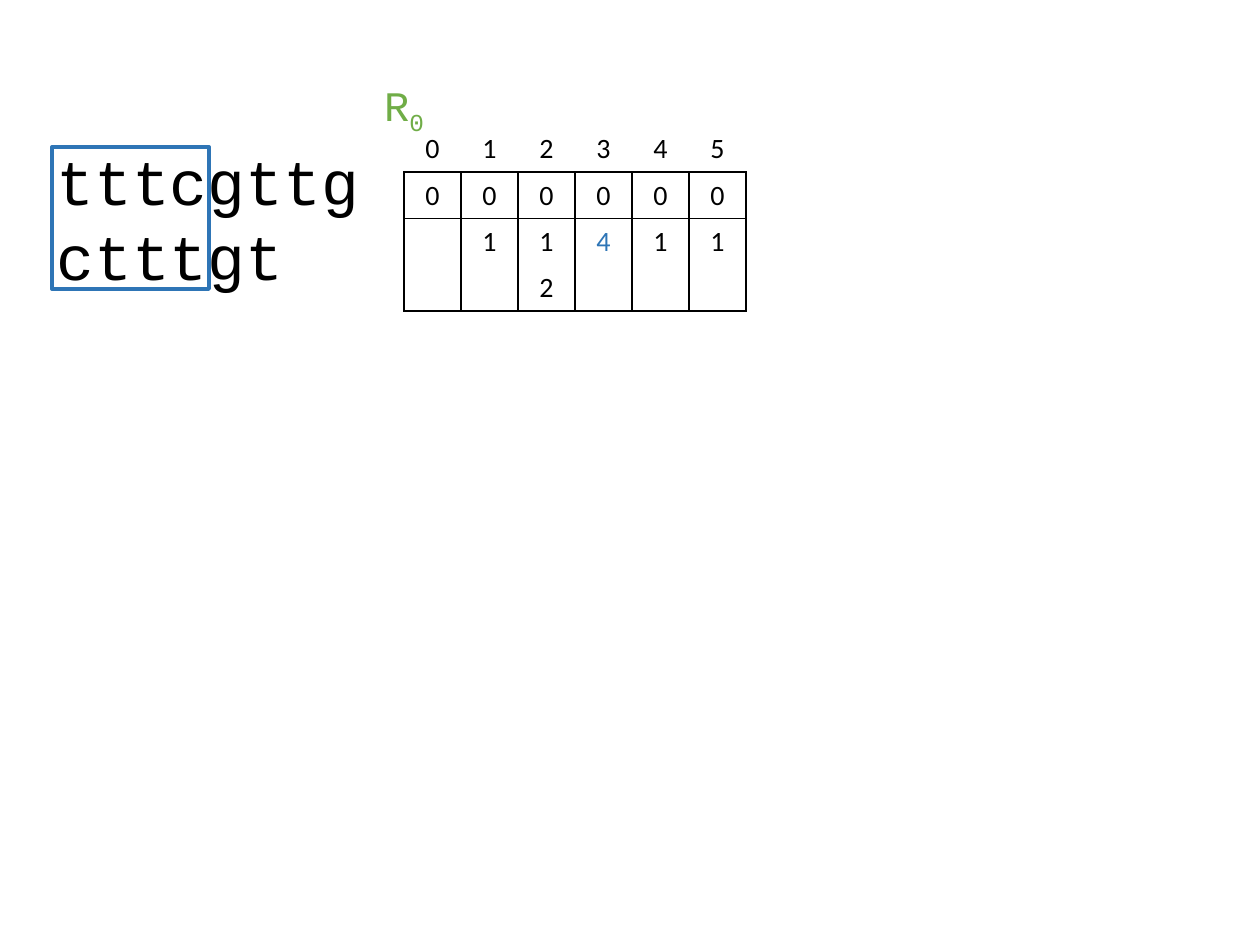
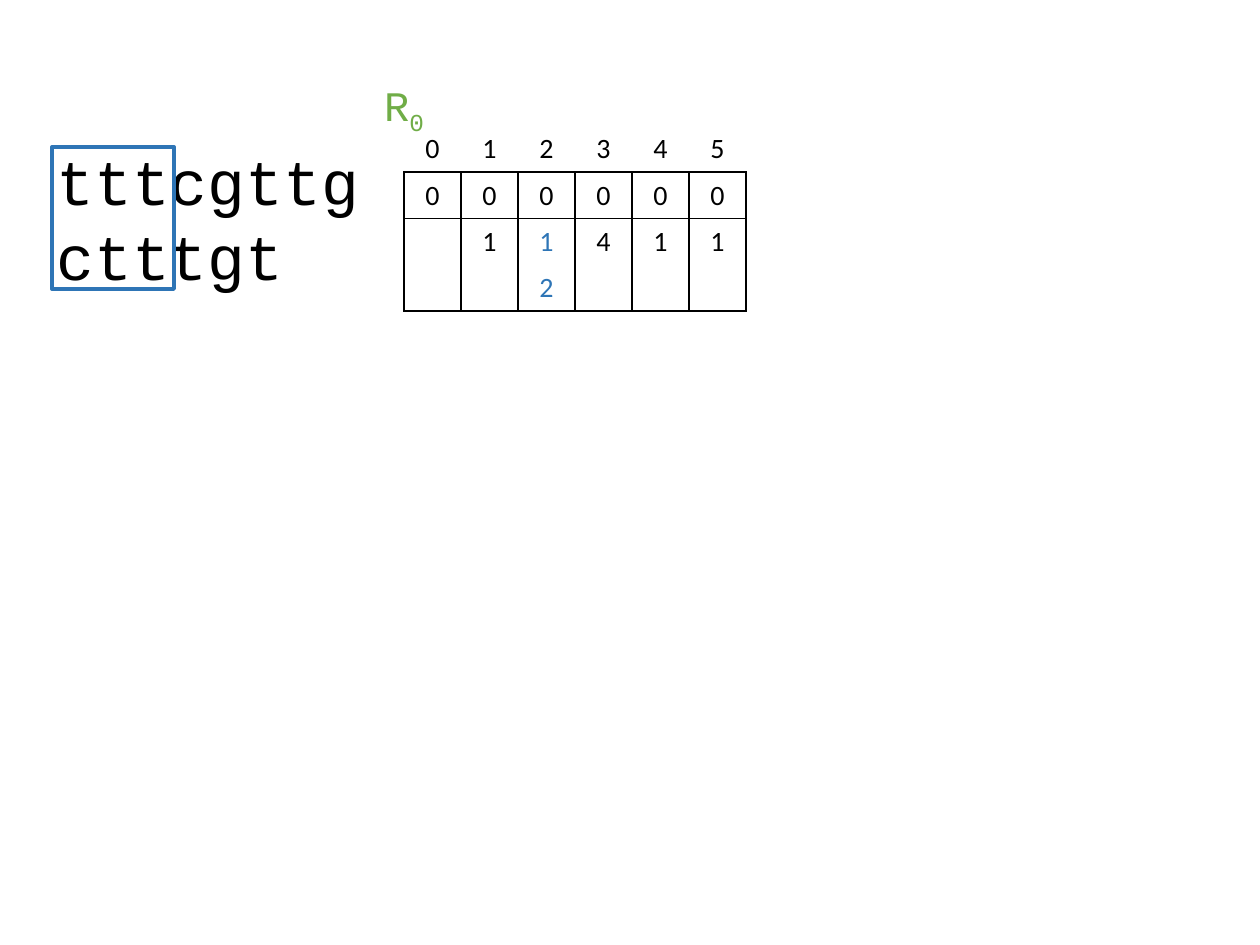
from lxml import etree
from pptx import Presentation
from pptx.dml.color import RGBColor
from pptx.enum.shapes import MSO_SHAPE
from pptx.enum.text import MSO_ANCHOR, MSO_AUTO_SIZE, PP_ALIGN
from pptx.oxml.ns import qn
from pptx.util import Emu, Pt

RECTANGLE = MSO_SHAPE.RECTANGLE
MIDDLE = MSO_ANCHOR.MIDDLE
FIT_SHAPE = MSO_AUTO_SIZE.SHAPE_TO_FIT_TEXT
CENTER = PP_ALIGN.CENTER
LEFT = PP_ALIGN.LEFT

PIXELS_PER_INCH = 126
SLIDE_SIZE = (1260, 945)
BLANK_LAYOUT = 6

BLACK, BLUE, GREEN = "000000", "2E75B6", "70AD47"
MONOSPACE, SANS = "Courier New", "Calibri"

SEQUENCES = "tttcgttg\nctttgt"
BUCKETS = [
    ["0", "1", "2", "3", "4", "5"],
    ["0", "0", "0", "0", "0", "0"],
    ["", "1", "1", "4", "1", "1"],
    ["", "", "2", "", "", ""],
]
FIRST_ENTRY_ROW = 2
BORDER_TAGS = {"left": "a:lnL", "right": "a:lnR", "top": "a:lnT", "bottom": "a:lnB"}
ROW_BORDERS = [
    {"bottom"},
    {"left", "right", "top", "bottom"},
    {"left", "right", "top"},
    {"left", "right", "bottom"},
]

SEQUENCE_BOX = (44, 136, 331, 165)
TABLE_BOX = (404, 126, 342, 184)
LABEL_BOX = (370, 73, 68, 63)
PREFIX_STEPS = [(4, 3), (3, 2)]


def px(length):
    """Turn pixels into EMU."""
    return Emu(round(length * 914400 / PIXELS_PER_INCH))


def color(hex_string):
    """Return the colour for a hex string."""
    return RGBColor.from_string(hex_string)


def format_runs(paragraph, font_name, size, hex_string, alignment):
    """Align a paragraph and style its runs."""
    paragraph.alignment = alignment
    for run in paragraph.runs:
        run.font.name = font_name
        run.font.size = Pt(size)
        run.font.color.rgb = color(hex_string)


def add_text(slide, box, text, size, hex_string, alignment):
    """Add an unwrapped monospace text box and return its text frame."""
    text_frame = slide.shapes.add_textbox(*map(px, box)).text_frame
    text_frame.word_wrap = False
    text_frame.auto_size = FIT_SHAPE
    text_frame.text = text
    for paragraph in text_frame.paragraphs:
        format_runs(paragraph, MONOSPACE, size, hex_string, alignment)
    return text_frame


def set_borders(cell, visible_sides):
    """Draw the named sides of a cell and hide the others."""
    properties = cell._tc.get_or_add_tcPr()
    for side, tag in BORDER_TAGS.items():
        border = etree.SubElement(properties, qn(tag), w=str(Pt(1)))
        if side in visible_sides:
            fill = etree.SubElement(border, qn("a:solidFill"))
            etree.SubElement(fill, qn("a:srgbClr"), val=BLACK)
        else:
            etree.SubElement(border, qn("a:noFill"))


def fill_cell(cell, text, hex_string, visible_sides):
    """Write and style one table cell."""
    cell.text = text
    cell.vertical_anchor = MIDDLE
    paragraph = cell.text_frame.paragraphs[0]
    format_runs(paragraph, SANS, 16, hex_string, CENTER)
    if not text:
        etree.SubElement(paragraph._p, qn("a:endParaRPr"), sz="1600")
    set_borders(cell, visible_sides)
    cell.fill.background()


def add_bucket_table(slide, box, active_bucket):
    """Add the bucket table with the entries of one bucket in blue."""
    row_count, column_count = len(BUCKETS), len(BUCKETS[0])
    table = slide.shapes.add_table(row_count, column_count, *map(px, box)).table
    table.first_row = False
    table.horz_banding = False
    for column in table.columns:
        column.width = px(box[2] // column_count)
    for row_index, values in enumerate(BUCKETS):
        table.rows[row_index].height = px(box[3] // row_count)
        for column_index, value in enumerate(values):
            active = row_index >= FIRST_ENTRY_ROW and column_index == active_bucket
            fill_cell(table.cell(row_index, column_index), value,
                      BLUE if active else BLACK, ROW_BORDERS[row_index])


def add_label(slide, box):
    """Add the table label with its subscript."""
    paragraph = add_text(slide, box, "R", 24, GREEN, CENTER).paragraphs[0]
    subscript = paragraph.add_run()
    subscript.text = "0"
    format_runs(paragraph, MONOSPACE, 24, GREEN, CENTER)
    subscript._r.get_or_add_rPr().set("baseline", "-25000")


def add_prefix_frame(slide, box, prefix_length):
    """Frame the first letters of both sequences."""
    left, top, width, height = box
    frame_box = (left + 8, top + 11, 17 + 35 * prefix_length, height - 23)
    frame = slide.shapes.add_shape(RECTANGLE, *map(px, frame_box))
    frame.shadow.inherit = False
    frame.fill.background()
    frame.line.color.rgb = color(BLUE)
    frame.line.width = Pt(2.25)


def add_prefix_slide(presentation, prefix_length, active_bucket):
    """Add a slide comparing prefixes of one length."""
    slide = presentation.slides.add_slide(presentation.slide_layouts[BLANK_LAYOUT])
    add_text(slide, SEQUENCE_BOX, SEQUENCES, 36, BLACK, LEFT)
    add_bucket_table(slide, TABLE_BOX, active_bucket)
    add_label(slide, LABEL_BOX)
    add_prefix_frame(slide, SEQUENCE_BOX, prefix_length)


def main():
    """Build and save the presentation."""
    presentation = Presentation()
    presentation.slide_width, presentation.slide_height = map(px, SLIDE_SIZE)
    for prefix_length, active_bucket in PREFIX_STEPS:
        add_prefix_slide(presentation, prefix_length, active_bucket)
    presentation.save("out.pptx")


if __name__ == "__main__":
    main()
